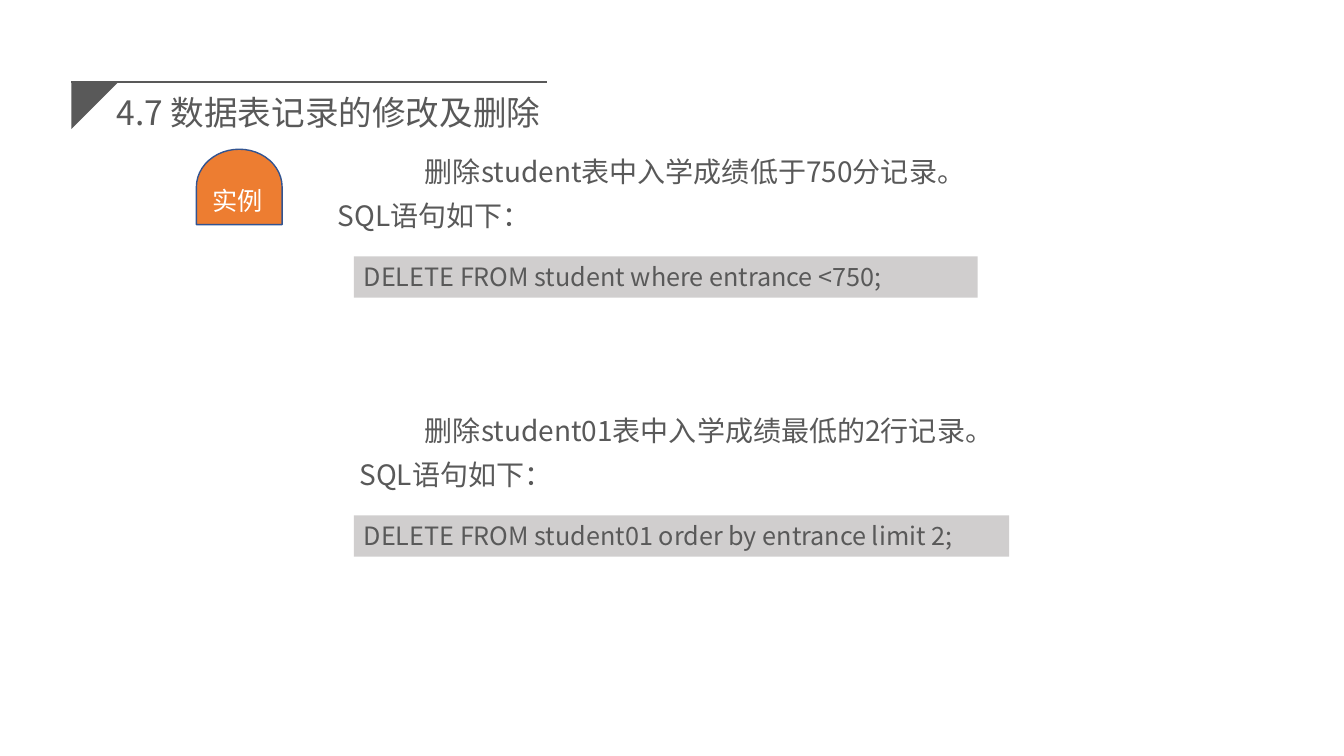
from dataclasses import dataclass

from lxml.etree import SubElement
from pptx import Presentation
from pptx.dml.color import RGBColor as Rgb
from pptx.enum.shapes import MSO_CONNECTOR as Connector, MSO_SHAPE as Preset
from pptx.enum.text import MSO_ANCHOR as Anchor, PP_ALIGN as Align
from pptx.oxml.ns import qn
from pptx.util import Cm, Pt


@dataclass(frozen=True)
class Theme:
    """Colours, font and type sizes of the slide."""
    font: str = "Noto Sans CJK SC"
    ink: str = "595959"
    code_fill: str = "D0CECE"
    badge_fill: str = "ED7D31"
    badge_line: str = "325491"
    badge_ink: str = "FFFFFF"
    title_size: int = 24
    body_size: int = 20
    small_size: int = 18


class Deck:
    """Draws styled elements on the current slide."""

    def __init__(self, theme):
        self.theme = theme
        self.prs = Presentation()
        self.prs.slide_width, self.prs.slide_height = Cm(33.87), Cm(19.05)
        self.shapes = self.prs.slides.add_slide(self.prs.slide_layouts[6]).shapes

    def set_text(self, shape, wording, size, color=None, indent=0, anchor=Anchor.TOP):
        """Put one left-aligned paragraph into a shape."""
        frame = shape.text_frame
        frame.word_wrap = True
        frame.vertical_anchor = anchor
        paragraph = frame.paragraphs[0]
        paragraph.text = wording
        paragraph.alignment = Align.LEFT
        font = paragraph.font
        font.size = Pt(size)
        font.color.rgb = Rgb.from_string(color or self.theme.ink)
        font.name = self.theme.font
        properties = paragraph._p.get_or_add_pPr()
        SubElement(properties.find(qn("a:defRPr")), qn("a:ea"), typeface=self.theme.font)
        properties.set("marL", str(Cm(indent)))
        properties.set("indent", "0")

    def paint(self, shape, fill, line=None):
        """Give a shape a flat fill and an optional outline."""
        shape.shadow.inherit = False
        shape.fill.solid()
        shape.fill.fore_color.rgb = Rgb.from_string(fill)
        if line:
            shape.line.color.rgb = Rgb.from_string(line)
            shape.line.width = Pt(1)
        else:
            shape.line.fill.background()

    def text(self, box, wording, size, **style):
        """Add a text box."""
        self.set_text(self.shapes.add_textbox(*map(Cm, box)), wording, size, **style)

    def code(self, box, statement):
        """Add a grey bar holding an SQL statement."""
        bar = self.shapes.add_shape(Preset.RECTANGLE, *map(Cm, box))
        self.paint(bar, self.theme.code_fill)
        self.set_text(bar, statement, self.theme.small_size)

    def corner(self, left, top, side):
        """Add the triangular title corner."""
        builder = self.shapes.build_freeform(Cm(left), Cm(top))
        builder.add_line_segments([(Cm(left + side), Cm(top)), (Cm(left), Cm(top + side))])
        self.paint(builder.convert_to_shape(), self.theme.ink)

    def rule(self, left, right, y):
        """Add a horizontal line."""
        line = self.shapes.add_connector(Connector.STRAIGHT, Cm(left), Cm(y), Cm(right), Cm(y))
        line.line.color.rgb = Rgb.from_string(self.theme.ink)
        line.line.width = Pt(1.75)
        SubElement(line._element.spPr, qn("a:effectLst"))

    def badge(self, box, label_box, label):
        """Add the upright arch with its label."""
        arch = self.shapes.add_shape(Preset.FLOWCHART_DELAY, *map(Cm, box))
        arch.rotation = 270
        self.paint(arch, self.theme.badge_fill, self.theme.badge_line)
        self.text(label_box, label, self.theme.small_size, color=self.theme.badge_ink)

    def example(self, top, task, task_width, lead_left, statement, bar_width):
        """Add a task, its lead-in and the SQL that solves it."""
        size = self.theme.body_size
        self.text((6.65, top, task_width, 1.12), task, size, indent=3.81)
        self.text((lead_left, top + 1.12, 7.92, 0.94), "SQL语句如下：", size)
        self.code((8.92, top + 2.7, bar_width, 1.04), statement)


def main():
    """Build and save the slide."""
    theme = Theme()
    deck = Deck(theme)
    deck.text((2.69, 1.75, 15.52, 2.13), "4.7 数据表记录的修改及删除",
              theme.title_size, anchor=Anchor.MIDDLE)
    deck.corner(1.8, 2.06, 1.19)
    deck.rule(1.8, 13.79, 2.06)
    deck.badge((5.08, 3.63, 1.9, 2.16), (5.11, 4.55, 2.36, 1.02), "实例")
    deck.example(3.76, "删除student表中入学成绩低于750分记录。", 18.44, 8.26,
                 "DELETE FROM student where entrance <750;", 15.72)
    deck.example(10.29, "删除student01表中入学成绩最低的2行记录。", 20.17, 8.81,
                 "DELETE FROM student01 order by entrance limit 2;", 16.51)
    deck.prs.save("out.pptx")


if __name__ == "__main__":
    main()
